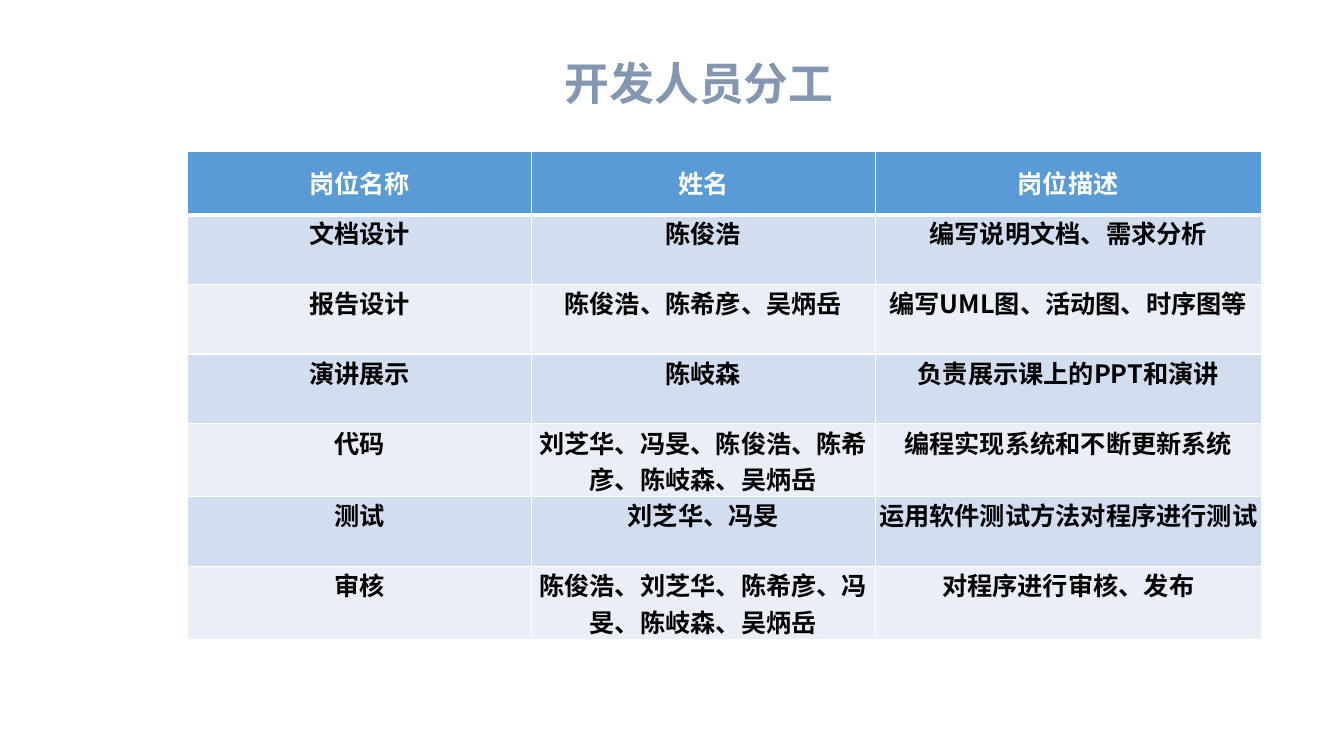
from lxml import etree
from pptx import Presentation
from pptx.dml.color import RGBColor
from pptx.enum.text import MSO_ANCHOR, PP_ALIGN
from pptx.oxml.ns import qn
from pptx.util import Inches, Pt

CENTER = PP_ALIGN.CENTER
TOP, MIDDLE = MSO_ANCHOR.TOP, MSO_ANCHOR.MIDDLE
FONT = "Noto Sans CJK SC"
HEAD, BANDS = "5B9BD5", ("D2DEEF", "EAEFF7")
WHITE, BLACK, SLATE = "FFFFFF", "000000", "8497B0"
TITLE = "开发人员分工"
ROWS = (
    ("岗位名称", "姓名", "岗位描述"),
    ("文档设计", "陈俊浩", "编写说明文档、需求分析"),
    ("报告设计", "陈俊浩、陈希彦、吴炳岳", "编写UML图、活动图、时序图等"),
    ("演讲展示", "陈岐森", "负责展示课上的PPT和演讲"),
    ("代码", "刘芝华、冯旻、陈俊浩、陈希彦、陈岐森、吴炳岳", "编程实现系统和不断更新系统"),
    ("测试", "刘芝华、冯旻", "运用软件测试方法对程序进行测试"),
    ("审核", "陈俊浩、刘芝华、陈希彦、冯旻、陈岐森、吴炳岳", "对程序进行审核、发布"),
)


def color(code):
    return RGBColor.from_string(code)


def write(frame, text, size, code):
    para = frame.paragraphs[0]
    para.text = text
    para.alignment = CENTER
    font = para.font
    font.name, font.size, font.bold = FONT, Pt(size), True
    font.color.rgb = color(code)
    # East Asian typeface
    props = para._p.pPr.find(qn("a:defRPr"))
    east = etree.Element(qn("a:ea"), typeface=FONT)
    props.find(qn("a:latin")).addnext(east)


def border(cell, side, width):
    props = cell._tc.get_or_add_tcPr()
    line = etree.Element(qn("a:ln" + side), w=str(Pt(width)))
    fill = etree.SubElement(line, qn("a:solidFill"))
    etree.SubElement(fill, qn("a:srgbClr"), val=WHITE)
    # Borders come before the fill
    props.find(qn("a:solidFill")).addprevious(line)


def heading(slide, left, top, width, height):
    title = slide.shapes.title
    title.left, title.top = Inches(left), Inches(top)
    title.width, title.height = Inches(width), Inches(height)
    frame = title.text_frame
    frame.word_wrap = False
    frame.vertical_anchor = MIDDLE
    write(frame, TITLE, 32, SLATE)


def duties(slide, left, top, width, height):
    table = slide.shapes.add_table(
        len(ROWS), len(ROWS[0]), Inches(left), Inches(top),
        Inches(width), Inches(height)).table

    # Two equal columns, the last takes the rest
    side = 3.41
    for col, size in zip(table.columns, (side, side, width - 2 * side)):
        col.width = Inches(size)

    # Header row, then equal body rows
    first = 0.63
    each = (height - first) / (len(ROWS) - 1)
    for i, texts in enumerate(ROWS):
        table.rows[i].height = Inches(each if i else first)
        for j, text in enumerate(texts):
            cell = table.cell(i, j)
            cell.margin_left = cell.margin_right = Inches(0.02)
            cell.margin_top = cell.margin_bottom = 0
            cell.vertical_anchor = TOP if i else MIDDLE
            cell.fill.solid()
            cell.fill.fore_color.rgb = color(BANDS[(i - 1) % 2] if i else HEAD)
            write(cell.text_frame, text, 18, BLACK if i else WHITE)
            for edge in "LRTB":
                thick = (i, edge) in ((0, "B"), (1, "T"))
                border(cell, edge, 3 if thick else 1)


deck = Presentation()
deck.slide_width, deck.slide_height = Inches(13.33), Inches(7.5)
page = deck.slides.add_slide(deck.slide_layouts[5])
heading(page, 5.49, 0.5, 2.89, 0.64)
duties(page, 1.86, 1.5, 10.65, 4.78)
deck.save("out.pptx")
